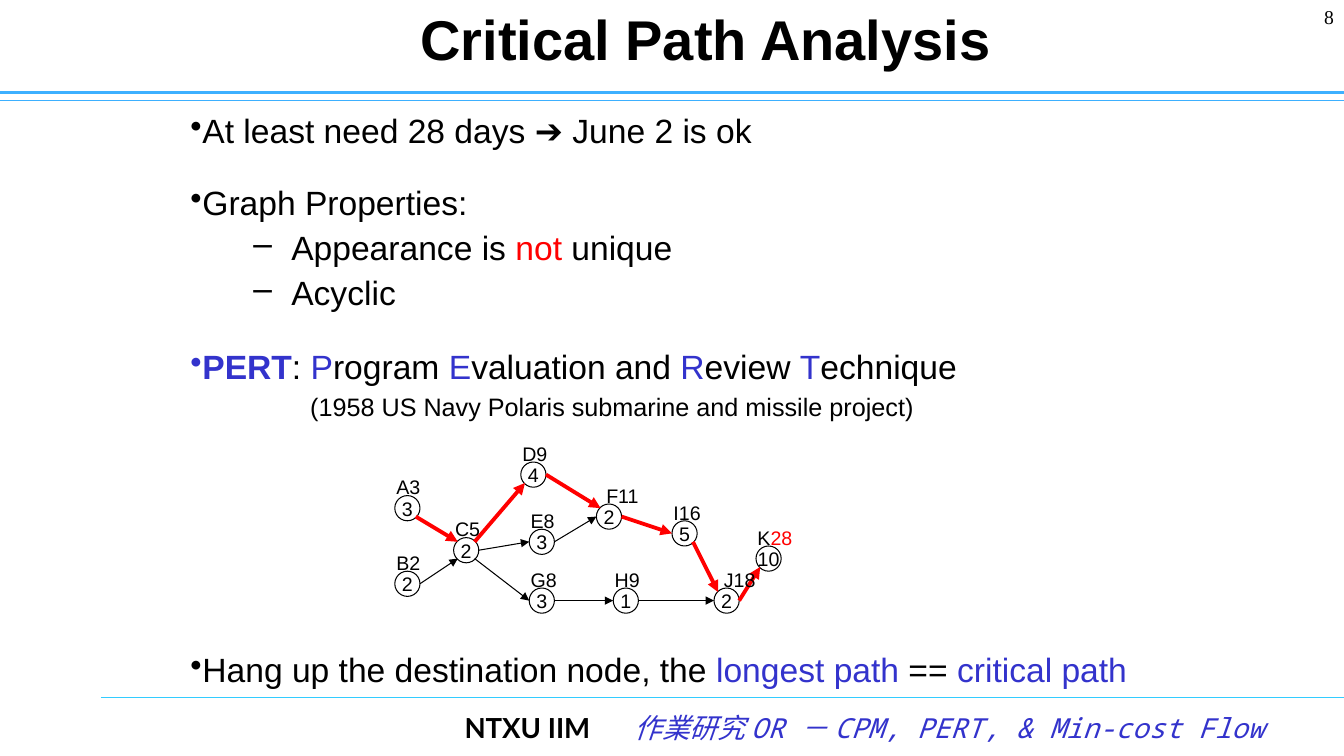
from math import cos, radians, sin

from lxml.etree import SubElement
from pptx import Presentation
from pptx.dml.color import RGBColor
from pptx.enum.shapes import MSO_CONNECTOR, MSO_SHAPE
from pptx.enum.text import MSO_ANCHOR, PP_ALIGN
from pptx.oxml.ns import qn
from pptx.util import Pt

PX = 9525
BLACK, RED, BLUE = "000000", "FF0000", "3333CC"
SKY, CYAN = "3DB0FF", "33CCFF"

NODE_SIZE = 24
# name: (left, top, days, finish day, label shift)
NODES = {
    "A": (0, 32, 3, 3, -8),
    "B": (0, 104, 2, 2, -8),
    "D": (120, 0, 4, 9, -8),
    "C": (56, 72, 2, 5, -8),
    "E": (128, 64, 3, 8, -8),
    "F": (192, 40, 2, 11, 0),
    "G": (128, 120, 3, 8, -8),
    "H": (208, 120, 1, 9, -8),
    "I": (264, 56, 5, 16, -8),
    "J": (304, 120, 2, 18, 0),
    "K": (344, 80, 10, 28, -8),
}
CRITICAL_PATH = "ACDFIJK"
# start node, angle where the arrow leaves, end node, angle where it arrives
ARROWS = [
    ("A", 45, "C", 225), ("B", 0, "C", 135), ("C", 315, "D", 135),
    ("C", 0, "E", 180), ("C", 45, "G", 180), ("D", 0, "F", 225),
    ("E", 0, "F", 180), ("G", 0, "H", 180), ("F", 0, "I", 180),
    ("H", 0, "J", 180), ("I", 45, "J", 225), ("J", 0, "K", 135),
]


def px(length):
    return round(length) * PX


def color(value):
    return RGBColor.from_string(value)


def add_span(para, text, size=24, fill=BLACK, font="Arial", bold=False, italic=False):
    span = para.add_run()
    span.text = text
    span.font.size = Pt(size)
    span.font.name = font
    span.font.bold = bold
    span.font.italic = italic
    span.font.color.rgb = color(fill)


def add_box(page, left, top, width, height, align=PP_ALIGN.LEFT, anchor=MSO_ANCHOR.TOP):
    """Add a wrapping text box and return its text frame."""
    frame = page.shapes.add_textbox(px(left), px(top), px(width), px(height)).text_frame
    frame.word_wrap = True
    frame.vertical_anchor = anchor
    frame.paragraphs[0].alignment = align
    return frame


def add_line(page, start, end, fill, weight, arrow=False):
    line = page.shapes.add_connector(
        MSO_CONNECTOR.STRAIGHT, px(start[0]), px(start[1]), px(end[0]), px(end[1]))
    line.line.color.rgb = color(fill)
    line.line.width = Pt(weight)
    if arrow:
        SubElement(line.line._get_or_add_ln(), qn("a:tailEnd"), type="triangle")
    SubElement(line._element.spPr, qn("a:effectLst"))


def set_indent(para, margin, hanging=0, bullet=None):
    properties = para._p.get_or_add_pPr()
    properties.set("marL", str(px(margin)))
    properties.set("indent", str(px(-hanging)))
    if bullet:
        SubElement(properties, qn("a:buChar"), char=bullet)


def add_header(page, left, top, width, height):
    title = add_box(page, left + 171, top, 1002, 72, PP_ALIGN.CENTER, MSO_ANCHOR.MIDDLE)
    add_span(title.paragraphs[0], "Critical Path Analysis", size=40, bold=True)
    number = add_box(page, left + width - 64, top, 64, 48, PP_ALIGN.RIGHT)
    add_span(number.paragraphs[0], "8", size=14, font="Times New Roman")
    for offset, weight in ((0, 0.75), (-8, 2.5)):
        y = top + height + offset
        add_line(page, (left, y), (left + width, y), SKY, weight)


def add_footer(page, left, top, width, height):
    add_line(page, (left, top), (left + width, top), CYAN, 0.75)
    para = add_box(page, left + 337, top + 8, width - 337, height - 8).paragraphs[0]
    tabs = SubElement(para._p.get_or_add_pPr(), qn("a:tabLst"))
    SubElement(tabs, qn("a:tab"), pos=str(px(162)), algn="l")
    add_span(para, "NTXU IIM\t", size=19.7, font="Lato", bold=True)
    add_span(para, "作業研究 OR － CPM, PERT, & Min-cost Flow", size=19.7,
             fill=BLUE, font="Noto Sans Mono", italic=True)


def add_body(page, left, top, width, height):
    point = dict(margin=0, bullet="•")
    detail = dict(margin=96, hanging=36, bullet="–")
    blue, red = dict(fill=BLUE), dict(fill=RED)
    # space before, indent, spans
    lines = [
        (0, point, [("At least need 28 days ➔ June 2 is ok", {})]),
        (26, point, [("Graph Properties:", {})]),
        (6, detail, [("Appearance is ", {}), ("not", red), (" unique", {})]),
        (6, detail, [("Acyclic", {})]),
        (27, point, [("PERT", dict(fill=BLUE, bold=True)), (": ", {}),
                     ("P", blue), ("rogram ", {}), ("E", blue), ("valuation and ", {}),
                     ("R", blue), ("eview ", {}), ("T", blue), ("echnique", {})]),
        (6, dict(margin=114),
         [("(1958 US Navy Polaris submarine and missile project)", dict(size=18))]),
        (165, point, [("Hang up the destination node, the ", {}), ("longest path", blue),
                      (" == ", {}), ("critical path", blue)]),
    ]
    frame = add_box(page, left, top, width, height)
    for index, (space, indent, spans) in enumerate(lines):
        para = frame.add_paragraph() if index else frame.paragraphs[0]
        para.line_spacing = 0.9
        para.space_before = Pt(space)
        set_indent(para, **indent)
        for text, style in spans:
            add_span(para, text, **style)


def add_node(page, left, top, days):
    node = page.shapes.add_shape(MSO_SHAPE.FLOWCHART_CONNECTOR, px(left), px(top),
                                 px(NODE_SIZE), px(NODE_SIZE))
    node.shadow.inherit = False
    node.fill.background()
    node.line.color.rgb = color(BLACK)
    node.line.width = Pt(0.75)
    frame = node.text_frame
    frame.word_wrap = False
    frame.vertical_anchor = MSO_ANCHOR.MIDDLE
    frame.margin_left = frame.margin_right = frame.margin_top = frame.margin_bottom = 0
    frame.paragraphs[0].alignment = PP_ALIGN.CENTER
    add_span(frame.paragraphs[0], str(days), size=14)


def add_network(page, left, top):
    def rim(name, angle):
        """Point on a node's circle, clockwise from its right side."""
        radius = NODE_SIZE / 2
        x, y = NODES[name][:2]
        return (left + x + radius + radius * cos(radians(angle)),
                top + y + radius + radius * sin(radians(angle)))

    for x, y, days, _, _ in NODES.values():
        add_node(page, left + x, top + y, days)
    for start, leave, end, arrive in ARROWS:
        fill, weight = (RED, 2.75) if start + end in CRITICAL_PATH else (BLACK, 0.75)
        add_line(page, rim(start, leave), rim(end, arrive), fill, weight, arrow=True)
    for name, (x, y, _, finish, shift) in NODES.items():
        para = add_box(page, left + x + shift, top + y - NODE_SIZE, 60, 32).paragraphs[0]
        add_span(para, name, size=14)
        add_span(para, str(finish), size=14, fill=RED if name == "K" else BLACK)


def main():
    deck = Presentation()
    deck.slide_width, deck.slide_height = px(1280), px(720)
    page = deck.slides.add_slide(deck.slide_layouts[6])
    add_header(page, 0, 0, 1280, 96)
    add_footer(page, 96, 664, 1184, 56)
    add_body(page, 172, 104, 956, 568)
    add_network(page, 376, 440)
    deck.save("out.pptx")


if __name__ == "__main__":
    main()
